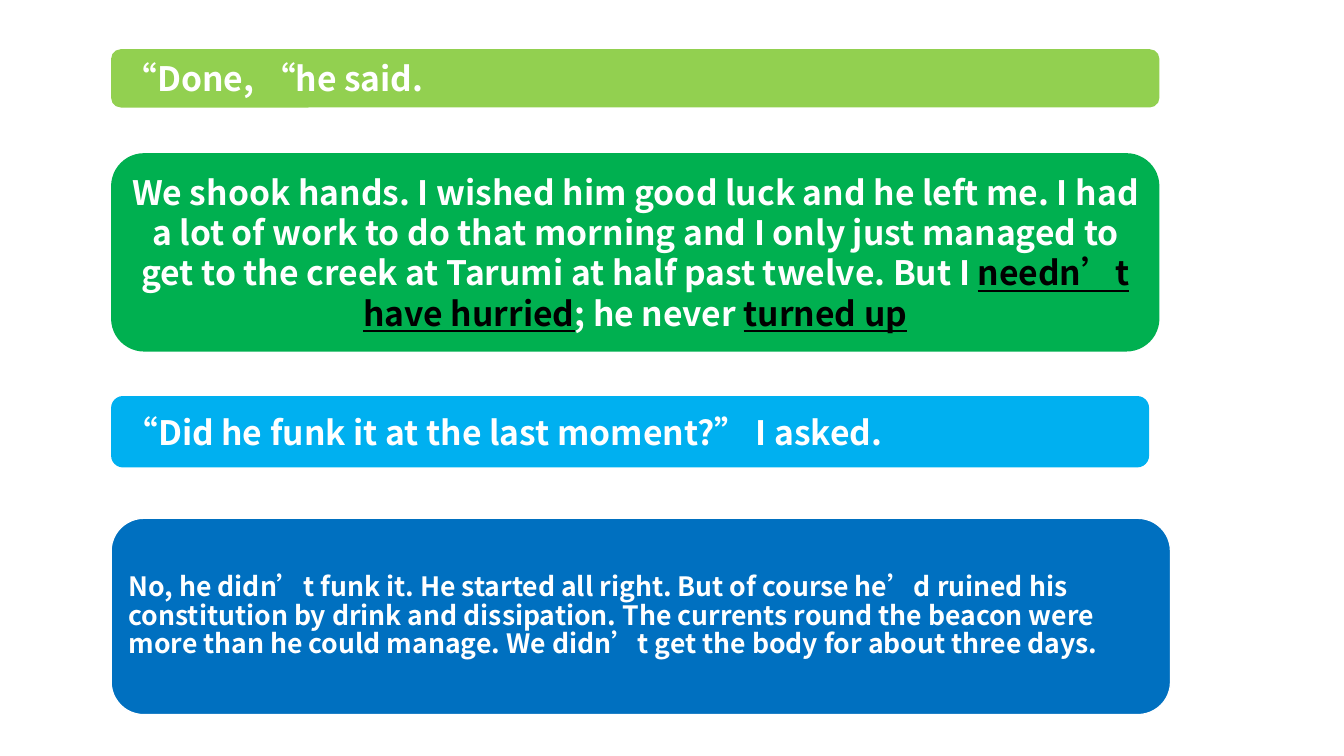
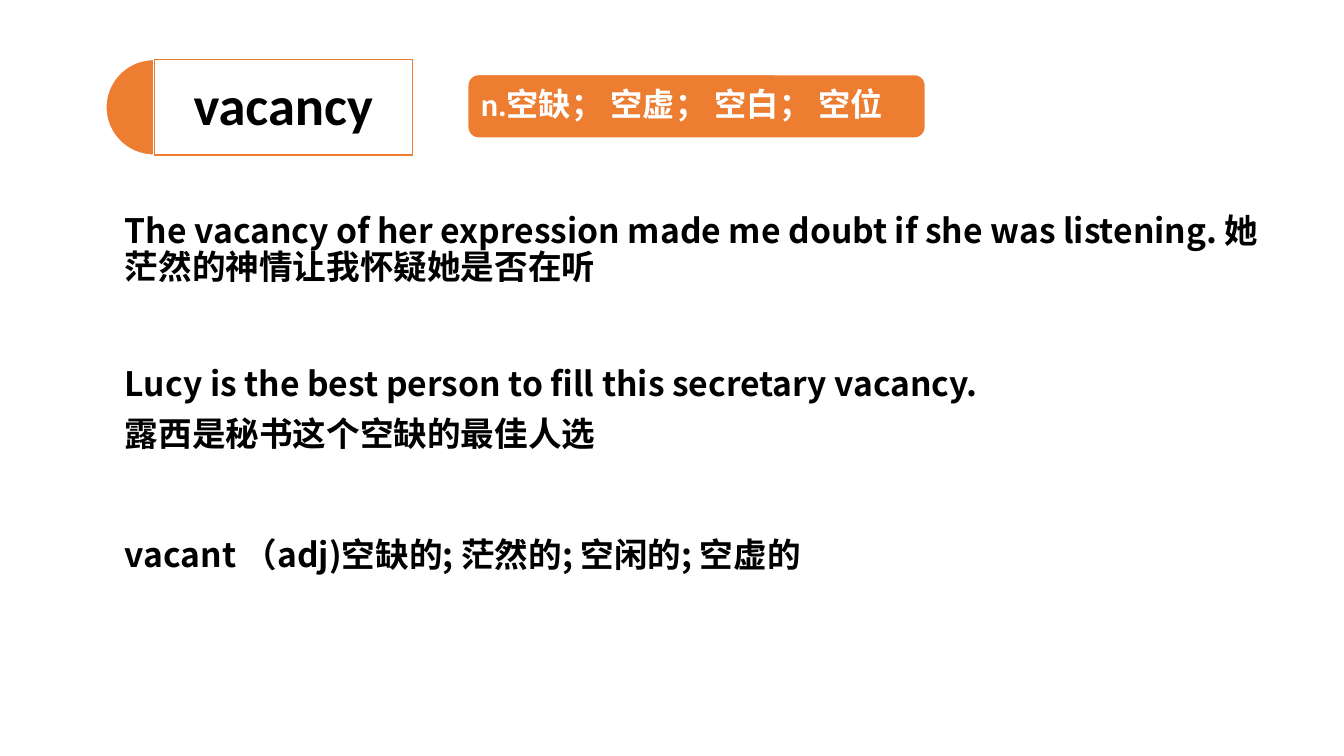
from lxml import etree
from pptx import Presentation
from pptx.dml.color import RGBColor
from pptx.enum.shapes import MSO_SHAPE as Shape
from pptx.enum.text import MSO_ANCHOR as Anchor, MSO_AUTO_SIZE as AutoSize, PP_ALIGN as Align
from pptx.oxml.ns import qn
from pptx.util import Cm, Pt

WHITE = RGBColor(0xFF, 0xFF, 0xFF)
BLACK = RGBColor(0x00, 0x00, 0x00)
LIME = RGBColor(0x92, 0xD0, 0x50)
GREEN = RGBColor(0x00, 0xB0, 0x50)
SKY = RGBColor(0x00, 0xB0, 0xF0)
BLUE = RGBColor(0x00, 0x70, 0xC0)
ORANGE = RGBColor(0xED, 0x7D, 0x31)
CJK_FONT = "Noto Sans CJK SC"
LATIN_FONT = "Calibri"
TITLE_ONLY, BLANK = 5, 6
CARD_LEFT, TEXT_LEFT = 2.8, 2.9


class Deck:
    def __init__(self):
        self.prs = Presentation()
        self.prs.slide_width, self.prs.slide_height = Cm(33.87), Cm(19.05)
        self.slide = None

    def new_slide(self, layout):
        self.slide = self.prs.slides.add_slide(self.prs.slide_layouts[layout])

    def paint(self, sp, fill, line=None):
        sp.fill.solid()
        sp.fill.fore_color.rgb = fill
        if line is None:
            sp.line.fill.background()
        else:
            sp.line.color.rgb = line
            sp.line.width = Pt(1)

    def add_text(self, sp, paragraphs, size=24, color=WHITE, font=CJK_FONT,
                 align=Align.LEFT, anchor=Anchor.MIDDLE, spacing=0.9, inset=None):
        """Fill a shape with paragraphs, each a list of (text, is_key_phrase) runs."""
        tf = sp.text_frame
        tf.word_wrap = True
        tf.auto_size = AutoSize.NONE
        tf.vertical_anchor = anchor
        if inset is not None:
            tf.margin_left = tf.margin_right = tf.margin_top = tf.margin_bottom = Cm(inset)
        for i, runs in enumerate(paragraphs):
            p = tf.add_paragraph() if i else tf.paragraphs[0]
            p.alignment = align
            p.line_spacing = spacing
            if i:
                p.space_before = Pt(10)
            for text, is_key in runs:
                r = p.add_run()
                r.text = text
                r.font.size, r.font.bold, r.font.name = Pt(size), True, font
                r.font.color.rgb = BLACK if is_key else color
                if is_key:
                    r.font.underline = True
                east_asian = etree.SubElement(r.font._element, qn("a:ea"))
                east_asian.set("typeface", CJK_FONT)

    def shape(self, kind, box, fill, line=None):
        sp = self.slide.shapes.add_shape(kind, *map(Cm, box))
        sp.shadow.inherit = False
        self.paint(sp, fill, line)
        return sp

    def card(self, box, fill, runs, line=None, **style):
        sp = self.shape(Shape.ROUNDED_RECTANGLE, box, fill, line)
        self.add_text(sp, [runs], **style)

    def word_title(self, word):
        """Headword in a framed title, with a half disc on its left edge."""
        top, height = 1.5, 2.41
        disc = self.shape(Shape.PIE, (2.67, top, height, height), ORANGE, WHITE)
        # Pie angles of 90 and 270 degrees, in units of 1/0.6 degree
        disc.adjustments[0], disc.adjustments[1] = 54, 162
        title = self.slide.shapes.title
        title.left, title.top, title.width, title.height = map(Cm, (3.89, top, 6.5, height))
        self.paint(title, WHITE, ORANGE)
        color = title.fill._xPr.find(qn("a:solidFill"))[0]
        etree.SubElement(color, qn("a:alpha")).set("val", "90000")
        self.add_text(title, [[(word, False)]], size=39, color=BLACK, font=LATIN_FONT,
                      align=Align.CENTER, inset=0.41)
        self.slide.shapes._spTree.append(title._element)

    def example(self, box, *lines):
        sp = self.slide.shapes.add_textbox(*map(Cm, box))
        self.add_text(sp, [[(line, False)] for line in lines], color=BLACK, anchor=Anchor.TOP)


def story_slide(deck):
    deck.new_slide(BLANK)
    deck.card((CARD_LEFT, 1.24, 26.42, 1.47), LIME, [("“Done, “he said.", False)], spacing=1)
    deck.card((CARD_LEFT, 3.86, 26.42, 5), GREEN, [
        ("We shook hands. I wished him good luck and he left me. I had a lot of work to do "
         "that morning and I only just managed to get to the creek at Tarumi at half past "
         "twelve. But I ", False),
        ("needn’t have hurried", True),
        ("; he never ", False),
        ("turned up", True),
    ], align=Align.CENTER, spacing=1)
    deck.card((CARD_LEFT, 9.98, 26.16, 1.8), SKY,
              [("“Did he funk it at the last moment?” I asked.", False)], spacing=1)
    deck.card((CARD_LEFT, 13.06, 26.7, 4.95), BLUE, [
        ("No, he didn’t funk it. He started all right. But of course he’d ruined his "
         "constitution by drink and dissipation. The currents round the beacon were more "
         "than he could manage. We didn’t get the body for about three days.", False),
    ], line=WHITE, size=19, inset=0.2)


def vacancy_slide(deck):
    deck.new_slide(TITLE_ONLY)
    deck.word_title("vacancy")
    deck.card((11.79, 1.88, 11.53, 1.6), ORANGE, [("n.空缺； 空虚； 空白； 空位", False)],
              line=WHITE, size=23, font=LATIN_FONT, inset=0.25)
    deck.example((TEXT_LEFT, 5.28, 29.21, 2.39),
                 "The vacancy of her expression made me doubt if she was listening. "
                 "她茫然的神情让我怀疑她是否在听")
    deck.example((TEXT_LEFT, 9.14, 29.21, 2.77),
                 "Lucy is the best person to fill this secretary vacancy.",
                 "露西是秘书这个空缺的最佳人选")
    deck.example((TEXT_LEFT, 13.44, 22.35, 1.88),
                 "vacant （adj)空缺的; 茫然的; 空闲的; 空虚的")


def main():
    deck = Deck()
    story_slide(deck)
    vacancy_slide(deck)
    deck.prs.save("out.pptx")


if __name__ == "__main__":
    main()
